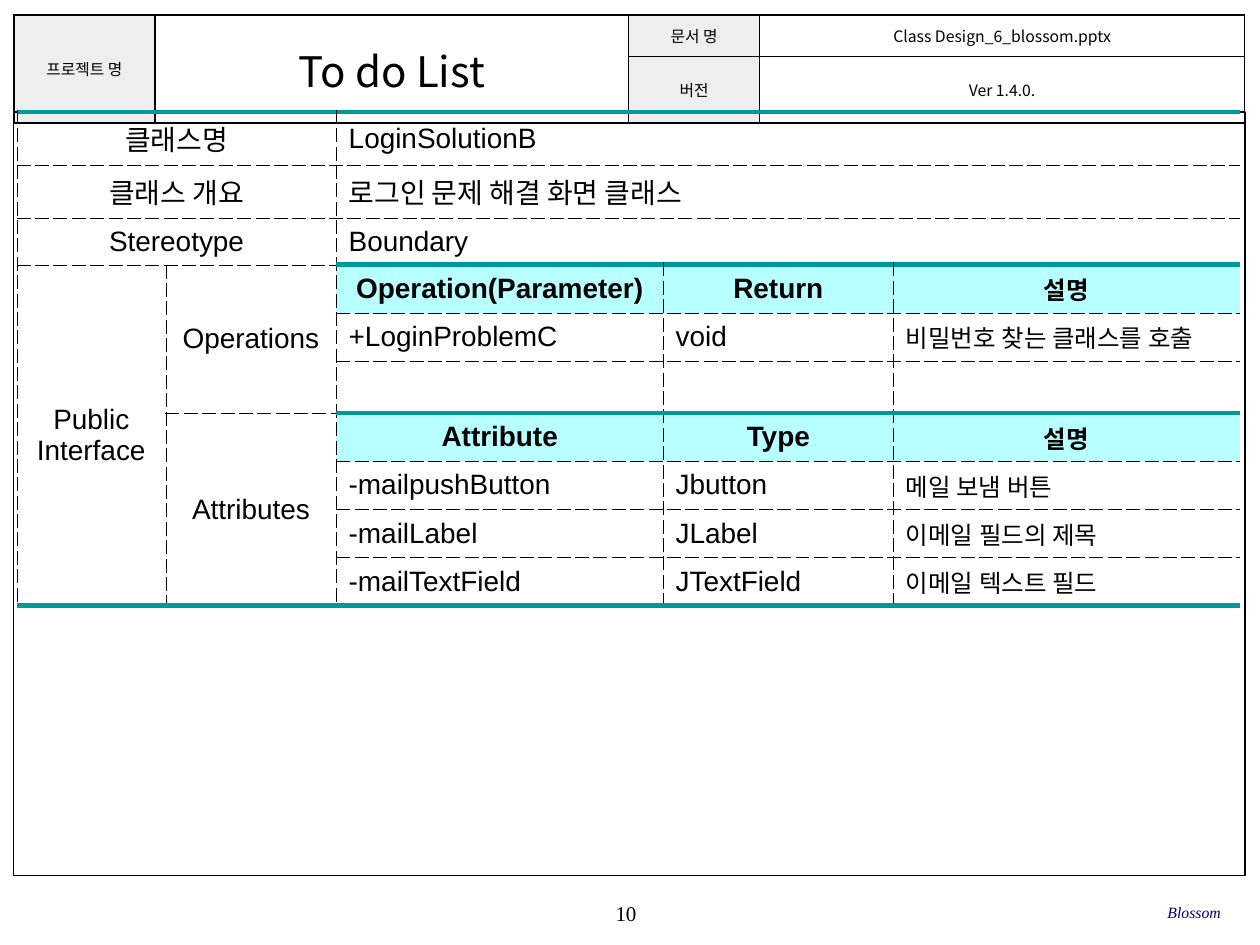
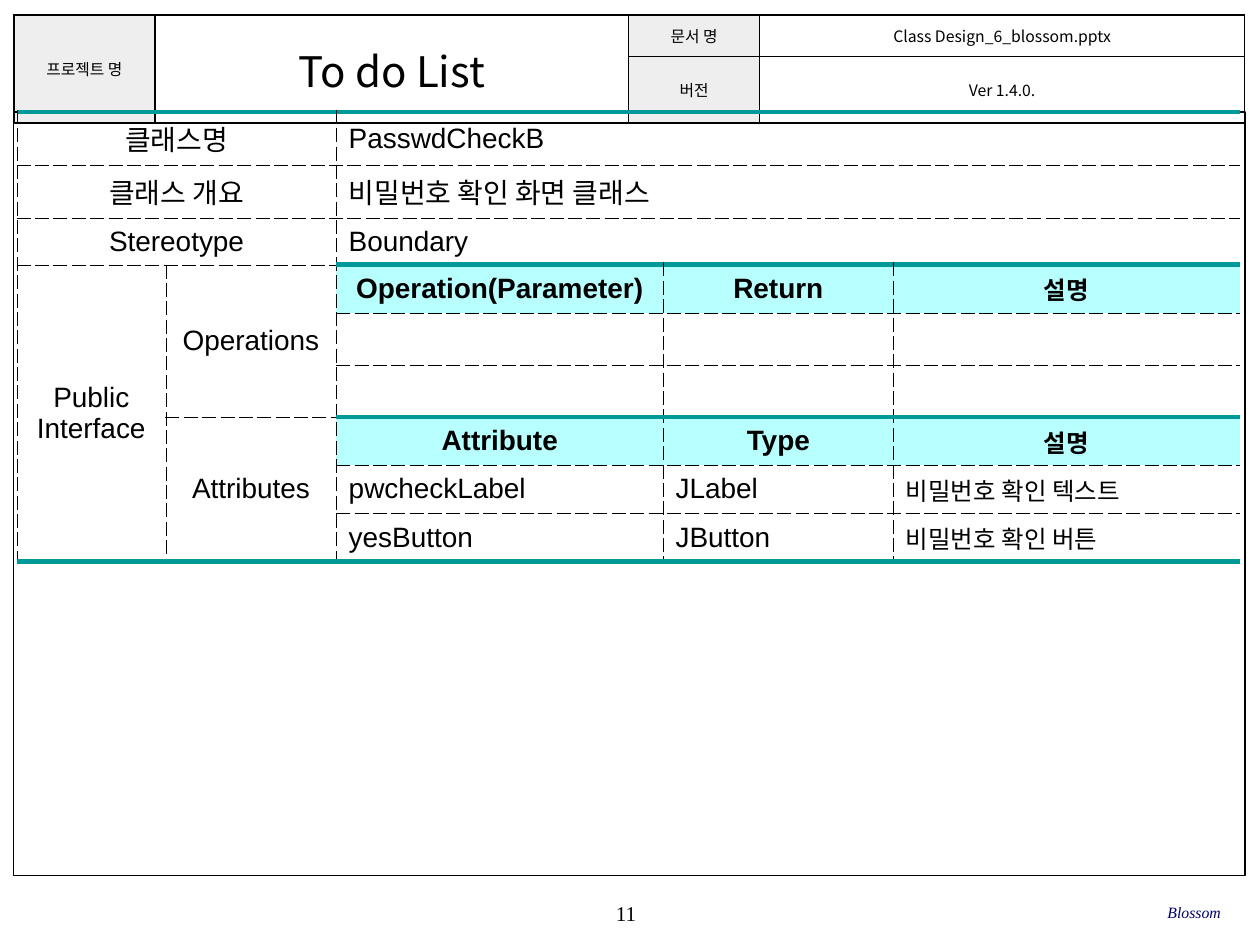
from lxml.etree import SubElement
from pptx import Presentation
from pptx.dml.color import RGBColor
from pptx.enum.shapes import MSO_SHAPE
from pptx.enum.text import MSO_ANCHOR, PP_ALIGN
from pptx.oxml.ns import qn
from pptx.util import Cm, Pt

BLACK = RGBColor(0x00, 0x00, 0x00)
NAVY = RGBColor(0x00, 0x00, 0x66)
TEAL = RGBColor(0x00, 0x99, 0x99)
AQUA = RGBColor(0xB8, 0xFF, 0xFF)
GREY = RGBColor(0xEE, 0xEE, 0xEE)

KOREAN_FONT = "Noto Sans CJK KR"
BODY_FONT = "Arial"
FOOTER_FONT = "Times New Roman"

# Borders are (colour, points, dash)
SOLID = (BLACK, 1, "solid")
DASHED = (BLACK, 0.25, "lgDash")
THICK = (TEAL, 3, "solid")

HEADER_COLUMNS = [2.84, 9.55, 2.64, 9.78]
HEADER_ROWS = [0.84, 1.34]
CLASS_COLUMNS = [3.0, 3.44, 6.59, 4.64, 6.98]
SUMMARY_ROWS = [1.07, 1.07, 0.89]
MEMBER_ROW, EMPTY_ROW = 0.97, 1.05
NO_MEMBER = ("", "", "")

CLASSES = [
    {
        "page": "10",
        "name": "LoginSolutionB",
        "summary": "로그인 문제 해결 화면 클래스",
        "operations": [
            ("+LoginProblemC", "void", "비밀번호 찾는 클래스를 호출"),
            NO_MEMBER,
        ],
        "attributes": [
            ("-mailpushButton", "Jbutton", "메일 보냄 버튼"),
            ("-mailLabel", "JLabel", "이메일 필드의 제목"),
            ("-mailTextField", "JTextField", "이메일 텍스트 필드"),
        ],
    },
    {
        "page": "11",
        "name": "PasswdCheckB",
        "summary": "비밀번호 확인 화면 클래스",
        "operations": [NO_MEMBER, NO_MEMBER],
        "attributes": [
            ("pwcheckLabel", "JLabel", "비밀번호 확인 텍스트"),
            ("yesButton", "JButton", "비밀번호 확인 버튼"),
        ],
    },
]


class ClassDeck:
    """Holds the shared style and the slide being filled."""

    def __init__(self):
        self.presentation = Presentation()
        self.presentation.slide_width = Cm(25.4)
        self.presentation.slide_height = Cm(19.05)
        self.slide = None

    def add_slide(self):
        self.slide = self.presentation.slides.add_slide(self.presentation.slide_layouts[6])

    def format_text(self, text_frame, size, font, align, color=BLACK, bold=False, italic=False):
        for paragraph in text_frame.paragraphs:
            paragraph.alignment = align
            for run in paragraph.runs:
                run.font.size = Pt(size)
                run.font.bold = bold
                run.font.italic = italic
                run.font.color.rgb = color
                run.font.name = font
                if font != FOOTER_FONT:
                    properties = run.font._element
                    SubElement(properties, qn("a:ea"), typeface=KOREAN_FONT)

    def add_text(self, text, left, top, width, align, size, color=BLACK, italic=False):
        shape = self.slide.shapes.add_textbox(Cm(left), Cm(top), Cm(width), Cm(0.84))
        text_frame = shape.text_frame
        text_frame.margin_left = text_frame.margin_right = 0
        text_frame.margin_top = text_frame.margin_bottom = 0
        text_frame.word_wrap = True
        text_frame.vertical_anchor = MSO_ANCHOR.MIDDLE
        text_frame.text = text
        self.format_text(text_frame, size, FOOTER_FONT, align, color, italic=italic)

    def add_frame(self):
        shape = self.slide.shapes.add_shape(
            MSO_SHAPE.RECTANGLE, Cm(0.28), Cm(2.26), Cm(24.82), Cm(15.39))
        shape.shadow.inherit = False
        shape.fill.background()
        shape.line.color.rgb = BLACK
        shape.line.width = Pt(0.75)

    def add_table(self, left, top, columns, heights, texts, spans, margins):
        """Add a table; spans are (row, column, last row, last column)."""
        shape = self.slide.shapes.add_table(
            len(heights), len(columns), Cm(left), Cm(top), Cm(sum(columns)), Cm(sum(heights)))
        table = shape.table
        table.first_row = table.horz_banding = False
        for column, width in zip(table.columns, columns):
            column.width = Cm(width)
        for row, height in zip(table.rows, heights):
            row.height = Cm(height)
        for row, column, last_row, last_column in spans:
            table.cell(row, column).merge(table.cell(last_row, last_column))
        for (row, column), text in texts.items():
            table.cell(row, column).text_frame.text = text
        for cell in table.iter_cells():
            cell.vertical_anchor = MSO_ANCHOR.MIDDLE
            cell.margin_left = cell.margin_right = Cm(margins[0])
            cell.margin_top = cell.margin_bottom = Cm(margins[1])
        return table

    def set_borders(self, cell, left, right, top, bottom):
        """Draw the four sides of a cell; None hides a side."""
        properties = cell._tc.get_or_add_tcPr()
        for side, border in zip("LRTB", (left, right, top, bottom)):
            line = SubElement(properties, qn(f"a:ln{side}"))
            if border is None:
                SubElement(line, qn("a:noFill"))
                continue
            color, points, dash = border
            line.set("w", str(Pt(points)))
            fill = SubElement(line, qn("a:solidFill"))
            SubElement(fill, qn("a:srgbClr"), val=str(color))
            SubElement(line, qn("a:prstDash"), val=dash)

    def set_fill(self, cell, color):
        if color is None:
            cell.fill.background()
        else:
            cell.fill.solid()
            cell.fill.fore_color.rgb = color

    def add_document_header(self):
        texts = {
            (0, 0): "프로젝트 명", (0, 1): "To do List",
            (0, 2): "문서 명", (0, 3): "Class Design_6_blossom.pptx",
            (1, 2): "버전", (1, 3): "Ver 1.4.0.",
        }
        spans = [(0, 0, 1, 0), (0, 1, 1, 1)]
        table = self.add_table(0.28, 0.3, HEADER_COLUMNS, HEADER_ROWS, texts, spans, (0.1, 0.05))
        for row in range(len(HEADER_ROWS)):
            for column in range(len(HEADER_COLUMNS)):
                cell = table.cell(row, column)
                self.set_borders(cell, SOLID, SOLID, SOLID, SOLID)
                self.set_fill(cell, GREY if column in (0, 2) else None)
                size = 24 if column == 1 else 9
                self.format_text(cell.text_frame, size, KOREAN_FONT, PP_ALIGN.CENTER)

    def add_class_table(self, design):
        operations, attributes = design["operations"], design["attributes"]
        operation_header = len(SUMMARY_ROWS)
        attribute_header = operation_header + 1 + len(operations)
        members = [("Operation(Parameter)", "Return", "설명"), *operations,
                   ("Attribute", "Type", "설명"), *attributes]
        heights = SUMMARY_ROWS + [EMPTY_ROW if member == NO_MEMBER else MEMBER_ROW
                                  for member in members]
        last_row, last_column = len(heights) - 1, len(CLASS_COLUMNS) - 1

        summary = [("클래스명", design["name"]), ("클래스 개요", design["summary"]),
                   ("Stereotype", "Boundary")]
        texts = {(operation_header, 0): "Public\nInterface",
                 (operation_header, 1): "Operations",
                 (attribute_header, 1): "Attributes"}
        spans = [(operation_header, 0, last_row, 0),
                 (operation_header, 1, attribute_header - 1, 1),
                 (attribute_header, 1, last_row, 1)]
        for row, (label, value) in enumerate(summary):
            texts[row, 0], texts[row, 2] = label, value
            spans += [(row, 0, row, 1), (row, 2, row, last_column)]
        for row, member in enumerate(members, operation_header):
            for column, text in enumerate(member, 2):
                texts[row, column] = text

        table = self.add_table(0.34, 2.26, CLASS_COLUMNS, heights, texts, spans, (0.25, 0.13))
        headers = (operation_header, attribute_header)

        def edge_above(row, column):
            outer = row in (0, last_row + 1)
            return THICK if outer or (row in headers and column >= 2) else DASHED

        areas = {(row, column): (bottom, right) for row, column, bottom, right in spans}
        for row in range(len(heights)):
            for column in range(len(CLASS_COLUMNS)):
                cell = table.cell(row, column)
                if cell.is_spanned:
                    continue
                bottom, right = areas.get((row, column), (row, column))
                borders = (DASHED, None if right == last_column else DASHED,
                           edge_above(row, column), edge_above(bottom + 1, column))
                is_header = row in headers and column >= 2
                for area_row in range(row, bottom + 1):
                    for area_column in range(column, right + 1):
                        area_cell = table.cell(area_row, area_column)
                        self.set_borders(area_cell, *borders)
                        self.set_fill(area_cell, AQUA if is_header else None)
                size = 14 if column == last_column else 16
                align = PP_ALIGN.CENTER if column < 2 or is_header else PP_ALIGN.LEFT
                self.format_text(cell.text_frame, size, BODY_FONT, align, bold=is_header)

    def add_class_slide(self, design):
        self.add_slide()
        self.add_text(design["page"], 9.98, 17.98, 5.28, PP_ALIGN.CENTER, 12)
        self.add_document_header()
        self.add_frame()
        self.add_text("Blossom", 16.84, 17.96, 7.77, PP_ALIGN.RIGHT, 9, NAVY, italic=True)
        self.add_class_table(design)


def main():
    deck = ClassDeck()
    for design in CLASSES:
        deck.add_class_slide(design)
    deck.presentation.save("out.pptx")


if __name__ == "__main__":
    main()
